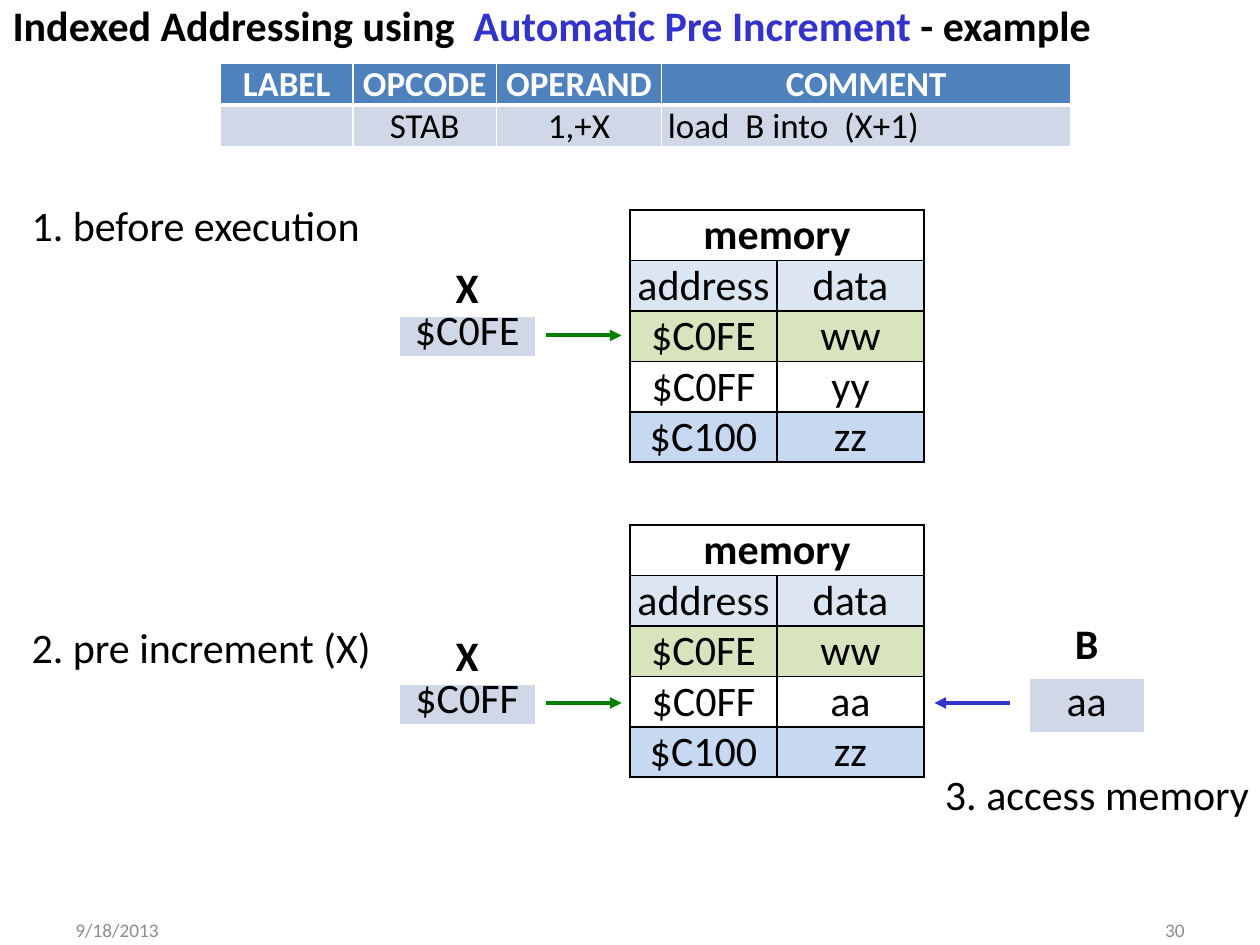
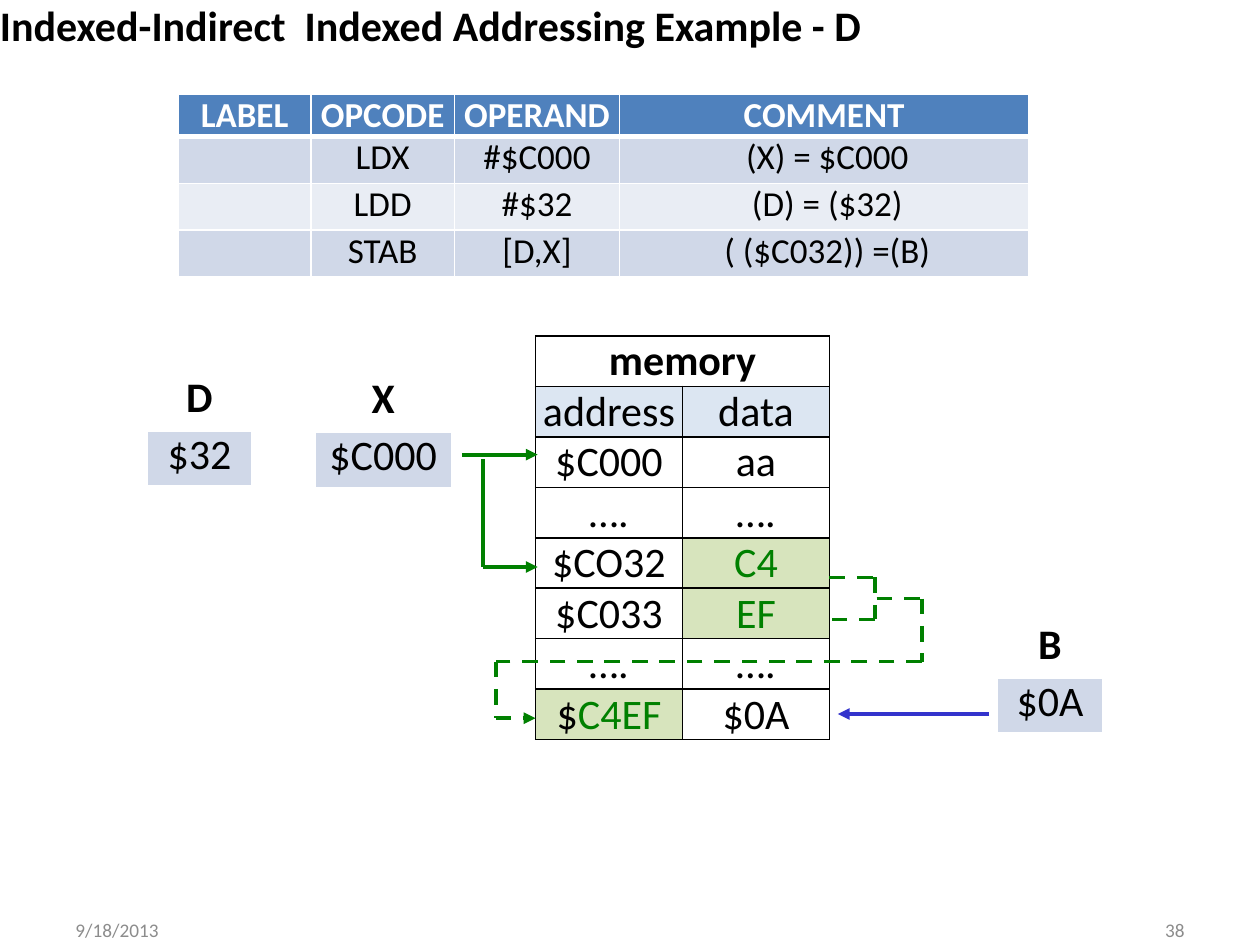
from itertools import pairwise

from lxml.etree import SubElement
from pptx import Presentation
from pptx.dml.color import RGBColor
from pptx.enum.dml import MSO_LINE
from pptx.enum.shapes import MSO_CONNECTOR
from pptx.enum.text import MSO_ANCHOR, PP_ALIGN
from pptx.oxml import parse_xml
from pptx.oxml.ns import nsdecls, qn
from pptx.util import Inches, Pt

COLORS = {
    "black": "000000", "white": "FFFFFF", "blue": "3333CC", "green": "008000",
    "gray": "8C8C8C", "header": "4F81BD", "band": "D0D8E8", "light_band": "E9EDF4",
    "heading": "DCE6F2", "highlight": "D7E4BD", "last_row": "C6D9F1",
}
CODE_WIDTHS = [12.6, 13.7, 15.7, 39]
CODE_HEADINGS = ["LABEL", "OPCODE", "OPERAND", "COMMENT"]


class Deck:
    """Draws slide elements on a grid of 120 columns by 90 rows."""

    font = "Calibri"
    body_size = 24
    code_size = 20

    def __init__(self):
        self.presentation = Presentation()
        self.presentation.slide_width = Inches(10)
        self.presentation.slide_height = Inches(7.5)
        self.slide = None

    def across(self, columns):
        return round(self.presentation.slide_width * columns / 120)

    def down(self, rows):
        return round(self.presentation.slide_height * rows / 90)

    def color(self, name):
        return RGBColor.from_string(COLORS[name])

    def add_slide(self, number):
        self.slide = self.presentation.slides.add_slide(self.presentation.slide_layouts[6])
        for text, column, align in (("9/18/2013", 6, PP_ALIGN.LEFT), (number, 86, PP_ALIGN.RIGHT)):
            self.text([(text, "gray")], column, 87.5, 28, 2.2, size=11, align=align,
                      inset=1.2, anchor=MSO_ANCHOR.MIDDLE)

    def add_runs(self, paragraph, runs, size, color="black", bold=False, align=PP_ALIGN.LEFT):
        paragraph.alignment = align
        for text, run_color in [(runs, color)] if isinstance(runs, str) else runs:
            run = paragraph.add_run()
            run.text = text
            run.font.name = self.font
            run.font.size = Pt(size)
            run.font.bold = bold
            run.font.color.rgb = self.color(run_color)

    def text(self, runs, column, row, width, height=4.8, size=body_size, bold=False,
             align=PP_ALIGN.LEFT, inset=0, anchor=MSO_ANCHOR.TOP):
        box = self.slide.shapes.add_textbox(
            self.across(column), self.down(row), self.across(width), self.down(height))
        frame = box.text_frame
        frame.word_wrap = True
        frame.vertical_anchor = anchor
        frame.margin_left = frame.margin_right = self.across(inset)
        frame.margin_top = frame.margin_bottom = 0
        self.add_runs(frame.paragraphs[0], runs, size, bold=bold, align=align)

    def table(self, column, row, widths, heights):
        frame = self.slide.shapes.add_table(
            len(heights), len(widths), self.across(column), self.down(row),
            self.across(sum(widths)), self.down(sum(heights)))
        table = frame.table
        table.first_row = table.horz_banding = False
        for table_column, width in zip(table.columns, widths):
            table_column.width = self.across(width)
        for table_row, height in zip(table.rows, heights):
            table_row.height = self.down(height)
        return table

    def cell(self, cell, runs, fill=None, border="white", bottom=1, left=0, bottom_inset=0,
             size=body_size, color="black", bold=False, align=PP_ALIGN.CENTER, spacing=None):
        cell.margin_left = self.across(left)
        cell.margin_right = cell.margin_top = 0
        cell.margin_bottom = self.down(bottom_inset)
        if fill:
            cell.fill.solid()
            cell.fill.fore_color.rgb = self.color(fill)
        else:
            cell.fill.background()
        properties = cell._tc.get_or_add_tcPr()
        for position, side in enumerate("LRTB"):
            width = Pt(bottom if side == "B" else 1)
            properties.insert(position, parse_xml(
                f'<a:ln{side} {nsdecls("a")} w="{width}"><a:solidFill>'
                f'<a:srgbClr val="{COLORS[border]}"/></a:solidFill></a:ln{side}>'))
        paragraph = cell.text_frame.paragraphs[0]
        if spacing:
            paragraph.line_spacing = Pt(spacing)
        if runs:
            self.add_runs(paragraph, runs, size, color, bold, align)

    def code(self, column, row, lines, line_height, comment_align=PP_ALIGN.CENTER):
        table = self.table(column, row, CODE_WIDTHS, [4] + [line_height] * len(lines))
        for index, heading in enumerate(CODE_HEADINGS):
            self.cell(table.cell(0, index), heading, "header", bottom=3,
                      size=self.code_size, color="white", bold=True)
        for number, line in enumerate(lines, 1):
            fill = "band" if number % 2 else "light_band"
            for index, text in enumerate(("", *line)):
                is_comment = index == 3
                self.cell(table.cell(number, index), text, fill, size=self.code_size,
                          left=0.6 if is_comment else 0,
                          align=comment_align if is_comment else PP_ALIGN.CENTER)

    def memory(self, column, row, entries):
        rows = [("address", "data", "heading", "heading"), *entries]
        table = self.table(column, row, [14, 14], [4.8] * (len(rows) + 1))
        table.cell(0, 0).merge(table.cell(0, 1))
        self.cell(table.cell(0, 0), "memory", border="black", bold=True)
        self.cell(table.cell(0, 1), "", border="black")
        for number, (address, data, address_fill, data_fill) in enumerate(rows, 1):
            self.cell(table.cell(number, 0), address, address_fill, border="black")
            self.cell(table.cell(number, 1), data, data_fill, border="black")

    def register(self, name, value, column, row, width, compact=False):
        table = self.table(column, row, [width], [4 if compact else 5.4] * 2)
        style = {"spacing": 24} if compact else {"bottom_inset": 0.6}
        self.cell(table.cell(0, 0), name, bottom=3, bold=True, **style)
        self.cell(table.cell(1, 0), value, "band", **style)

    def route(self, points, color="green", dashed=False, arrow=True):
        segments = list(pairwise(points))
        for number, (start, end) in enumerate(segments, 1):
            connector = self.slide.shapes.add_connector(
                MSO_CONNECTOR.STRAIGHT, self.across(start[0]), self.down(start[1]),
                self.across(end[0]), self.down(end[1]))
            connector.line.color.rgb = self.color(color)
            connector.line.width = Pt(2.25)
            if dashed:
                connector.line.dash_style = MSO_LINE.DASH
            if arrow and number == len(segments):
                SubElement(connector.line._get_or_add_ln(), qn("a:tailEnd"), type="triangle")
            SubElement(connector._element.spPr, qn("a:effectLst"))


def pre_increment_slide(deck):
    """Show a store with automatic pre increment, before and after."""
    deck.add_slide("30")
    deck.text([("Indexed Addressing using ", "black"), (" Automatic Pre Increment", "blue"),
               (" - example", "black")], 1.2, 0, 108, bold=True)
    deck.code(21, 6, [("STAB", "1,+X", "load  B into  (X+1)")], 4, PP_ALIGN.LEFT)
    steps = [("1. before execution", 19, "$C0FE", 26, 20, "yy"),
             ("2. pre increment (X)", 59.2, "$C0FF", 61, 50, "aa")]
    for label, label_row, pointer, register_row, memory_row, stored in steps:
        deck.text(label, 3, label_row, 34)
        deck.register("X", pointer, 38, register_row, 13, compact=True)
        deck.route([(52, register_row + 5.95), (59.2, register_row + 5.95)])
        deck.memory(60, memory_row, [
            ("$C0FE", "ww", "highlight", "highlight"),
            ("$C0FF", stored, None, None),
            ("$C100", "zz", "last_row", "last_row")])
    deck.register("B", "aa", 98, 59, 11)
    deck.route([(96.2, 66.95), (89, 66.95)], "blue")
    deck.text("3. access memory", 90, 73.2, 30)


def indexed_indirect_slide(deck):
    """Show how D and X lead through memory to the stored byte."""
    deck.add_slide("38")
    deck.text("Indexed-Indirect  Indexed Addressing Example - D", 0, 0, 90, bold=True)
    deck.code(17, 9, [("LDX", "#$C000", "(X) = $C000"),
                      ("LDD", "#$32", "(D) = ($32)"),
                      ("STAB", "[D,X]", "( ($C032)) =(B)")], 4.45)
    deck.memory(51, 32, [
        ("$C000", "aa", None, None),
        ("….", "….", None, None),
        ("$CO32", [("C4", "green")], "white", "highlight"),
        ("$C033", [("EF", "green")], "white", "highlight"),
        ("….", "….", "white", "white"),
        ([("$", "black"), ("C4EF", "green")], "$0A", "highlight", "white")])
    deck.register("D", "$32", 14, 35.5, 10)
    deck.register("X", "$C000", 30, 35.6, 13)
    deck.register("B", "$0A", 95, 59, 10)
    deck.route([(44, 43.3), (51.2, 43.3)])
    deck.route([(46, 43.7), (46, 54), (51.2, 54)])
    deck.route([(94.2, 68), (79.8, 68)], "blue")
    deck.route([(79, 55), (83.3, 55), (83.3, 59), (79, 59)], dashed=True, arrow=False)
    deck.route([(83.5, 57), (87.8, 57), (87.8, 63), (47.2, 63), (47.2, 68.4), (51, 68.4)],
               dashed=True)


def main():
    """Build both slides and save the presentation."""
    deck = Deck()
    pre_increment_slide(deck)
    indexed_indirect_slide(deck)
    deck.presentation.save("out.pptx")


if __name__ == "__main__":
    main()
